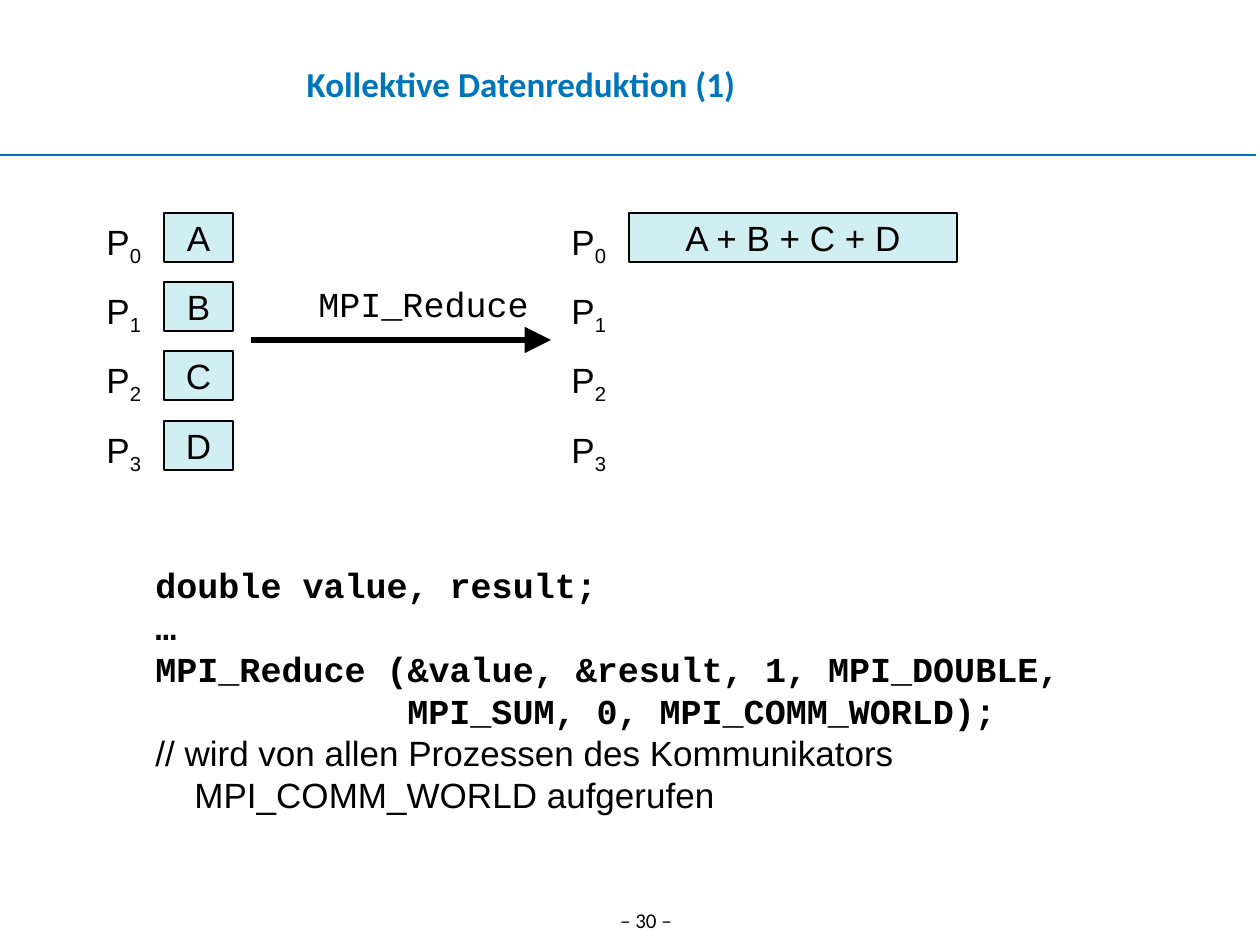
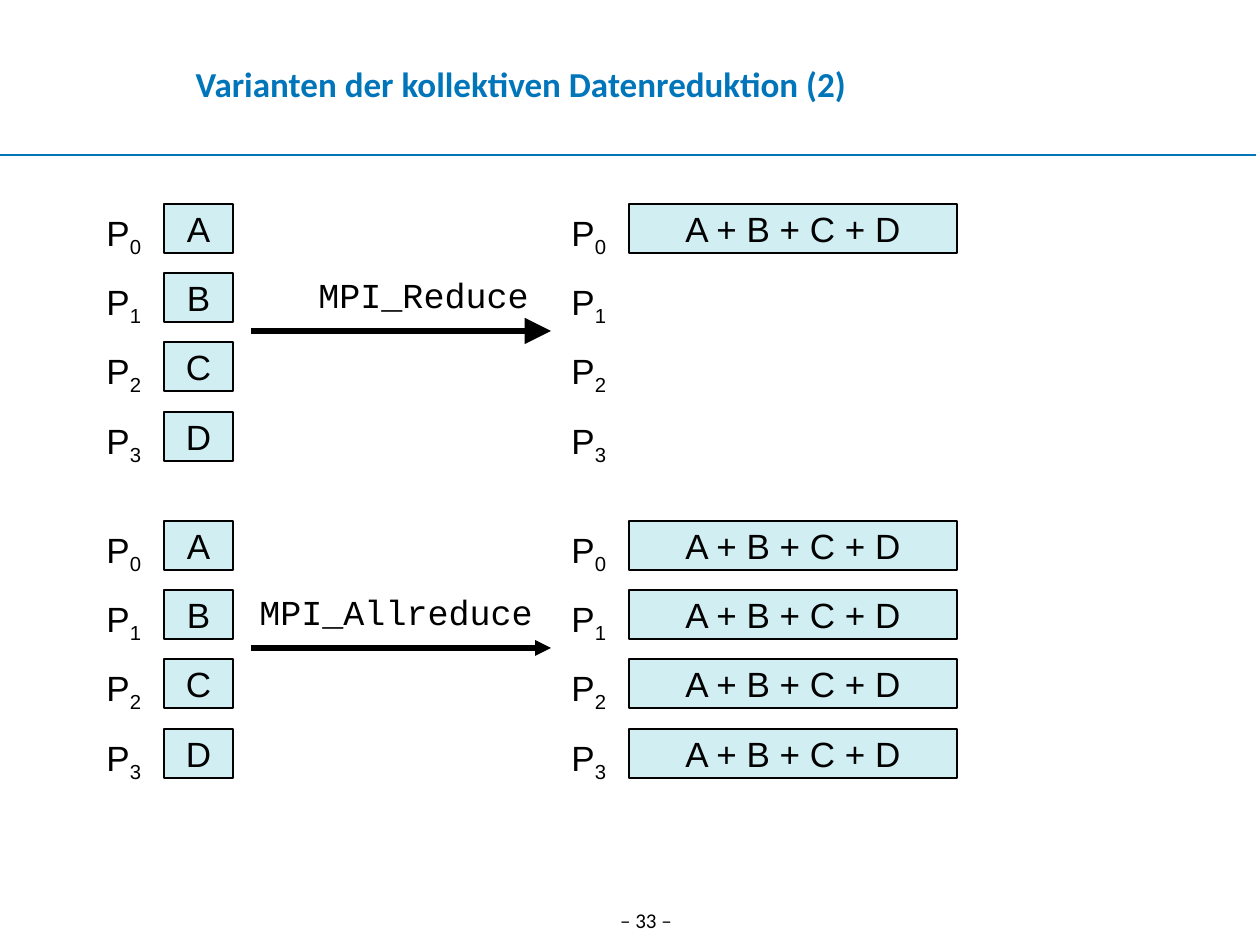
from lxml.etree import SubElement
from pptx import Presentation
from pptx.dml.color import RGBColor
from pptx.enum.shapes import MSO_CONNECTOR, MSO_SHAPE
from pptx.enum.text import MSO_ANCHOR, MSO_AUTO_SIZE, PP_ALIGN
from pptx.oxml.ns import qn
from pptx.util import Pt

BLUE = RGBColor(0x00, 0x75, 0xBA)
PALE_CYAN = RGBColor(0xD1, 0xEF, 0xF3)
BLACK = RGBColor(0x00, 0x00, 0x00)

SANS, MONO, HEADING = "Arial", "Courier New", "Calibri"
PX_PER_INCH = 126
TITLE_ONLY = 5

VALUES = ["A", "B", "C", "D"]
TOTAL = " + ".join(VALUES)
ROWS_SPAN = 208  # from the first row to the last
BOX_HEIGHT = 49


def px(length):
    return round(length * 914400 / PX_PER_INCH)


def write(paragraph, text, font=SANS, size=20, color=BLACK, bold=False,
          align=PP_ALIGN.LEFT, subscript="", indent=0):
    """Fill a paragraph with text and an optional subscript."""
    paragraph.alignment = align
    if indent:
        properties = paragraph._p.get_or_add_pPr()
        properties.set("marL", str(px(indent)))
        properties.set("indent", "0")
    for part in filter(None, (text, subscript)):
        run = paragraph.add_run()
        run.text = part
        run.font.name = font
        run.font.size = Pt(size)
        run.font.bold = bold
        run.font.color.rgb = color
    if subscript:
        run._r.get_or_add_rPr().set("baseline", "-25000")


class Deck:
    def __init__(self):
        self.presentation = Presentation()
        self.presentation.slide_width = px(1260)
        self.presentation.slide_height = px(945)
        self.slide = None

    def start_slide(self, heading, number):
        layout = self.presentation.slide_layouts[TITLE_ONLY]
        self.slide = self.presentation.slides.add_slide(layout)
        self.line(-5, 1256, 155, BLUE, 0.75)
        footer = self.text_frame(591, 901, 110, 64, wrap=True)
        write(footer.paragraphs[0], f"– {number} –", font=HEADING, size=12,
              align=PP_ALIGN.CENTER)
        self.title(heading)

    def title(self, heading):
        title = self.slide.shapes.title
        title.left, title.top = px(25), px(30)
        title.width, title.height = px(992), px(107)
        frame = title.text_frame
        frame.auto_size = MSO_AUTO_SIZE.NONE
        frame.vertical_anchor = MSO_ANCHOR.MIDDLE
        frame.margin_left = frame.margin_right = 0
        frame.margin_top = frame.margin_bottom = 0
        write(frame.paragraphs[0], heading, font=HEADING, color=BLUE,
              bold=True, align=PP_ALIGN.CENTER)

    def line(self, start, end, y, color, width, head_size=None):
        """Draw a horizontal line, with an arrowhead if a head size is given."""
        connector = self.slide.shapes.add_connector(
            MSO_CONNECTOR.STRAIGHT, px(start), px(y), px(end), px(y))
        connector.line.color.rgb = color
        connector.line.width = Pt(width)
        if head_size:
            SubElement(connector.line._get_or_add_ln(), qn("a:tailEnd"),
                       type="triangle", w=head_size, len=head_size)
        SubElement(connector._element.spPr, qn("a:effectLst"))

    def text_frame(self, left, top, width, height, wrap=False):
        box = self.slide.shapes.add_textbox(
            px(left), px(top), px(width), px(height))
        box.text_frame.word_wrap = wrap
        box.text_frame.auto_size = MSO_AUTO_SIZE.SHAPE_TO_FIT_TEXT
        return box.text_frame

    def value_box(self, left, top, width, value):
        box = self.slide.shapes.add_shape(
            MSO_SHAPE.RECTANGLE, px(left), px(top), px(width), px(BOX_HEIGHT))
        box.shadow.inherit = False
        box.fill.solid()
        box.fill.fore_color.rgb = PALE_CYAN
        box.line.color.rgb = BLACK
        box.line.width = Pt(0.75)
        box.text_frame.word_wrap = False
        box.text_frame.vertical_anchor = MSO_ANCHOR.MIDDLE
        write(box.text_frame.paragraphs[0], value, align=PP_ALIGN.CENTER)

    def processes(self, left, top, box_width, values):
        """Stack one row per process; only rows with a value get a box."""
        for rank in range(len(VALUES)):
            row_top = top + rank * ROWS_SPAN // (len(VALUES) - 1)
            label = self.text_frame(left, row_top + 1, 61, 60)
            write(label.paragraphs[0], "P", subscript=str(rank))
            if rank < len(values):
                self.value_box(left + 70, row_top, box_width, values[rank])

    def reduction(self, top, operation, label_left, label_width, totals,
                  head_size="lg"):
        """Show the values before and after a collective operation."""
        self.processes(94, top, 69, VALUES)
        self.processes(559, top, 328, [TOTAL] * totals)
        self.line(251, 551, top + 127, BLACK, 3, head_size)
        label = self.text_frame(label_left, top + 63, label_width, 55)
        write(label.paragraphs[0], operation, font=MONO)

    def code(self, left, top, width, height, lines):
        frame = self.text_frame(left, top, width, height, wrap=True)
        for index, (text, style) in enumerate(lines):
            paragraph = frame.add_paragraph() if index else frame.paragraphs[0]
            write(paragraph, text, **style)


def main():
    deck = Deck()
    reduce_call = dict(operation="MPI_Reduce", label_left=306,
                       label_width=236, totals=1)
    statement = dict(font=MONO, bold=True)

    deck.start_slide("Kollektive Datenreduktion (1)", 30)
    deck.reduction(213, **reduce_call)
    deck.code(143, 557, 1101, 265, [
        ("double value, result;", statement),
        ("…", statement),
        ("MPI_Reduce (&value, &result, 1, MPI_DOUBLE,", statement),
        ("MPI_SUM, 0, MPI_COMM_WORLD);", dict(statement, indent=252)),
        ("// wird von allen Prozessen des Kommunikators", {}),
        ("MPI_COMM_WORLD aufgerufen", dict(indent=39)),
    ])

    deck.start_slide("Varianten der kollektiven Datenreduktion (2)", 33)
    deck.reduction(204, **reduce_call)
    deck.reduction(521, "MPI_Allreduce", 247, 299, totals=len(VALUES),
                   head_size="med")

    deck.presentation.save("out.pptx")


if __name__ == "__main__":
    main()
